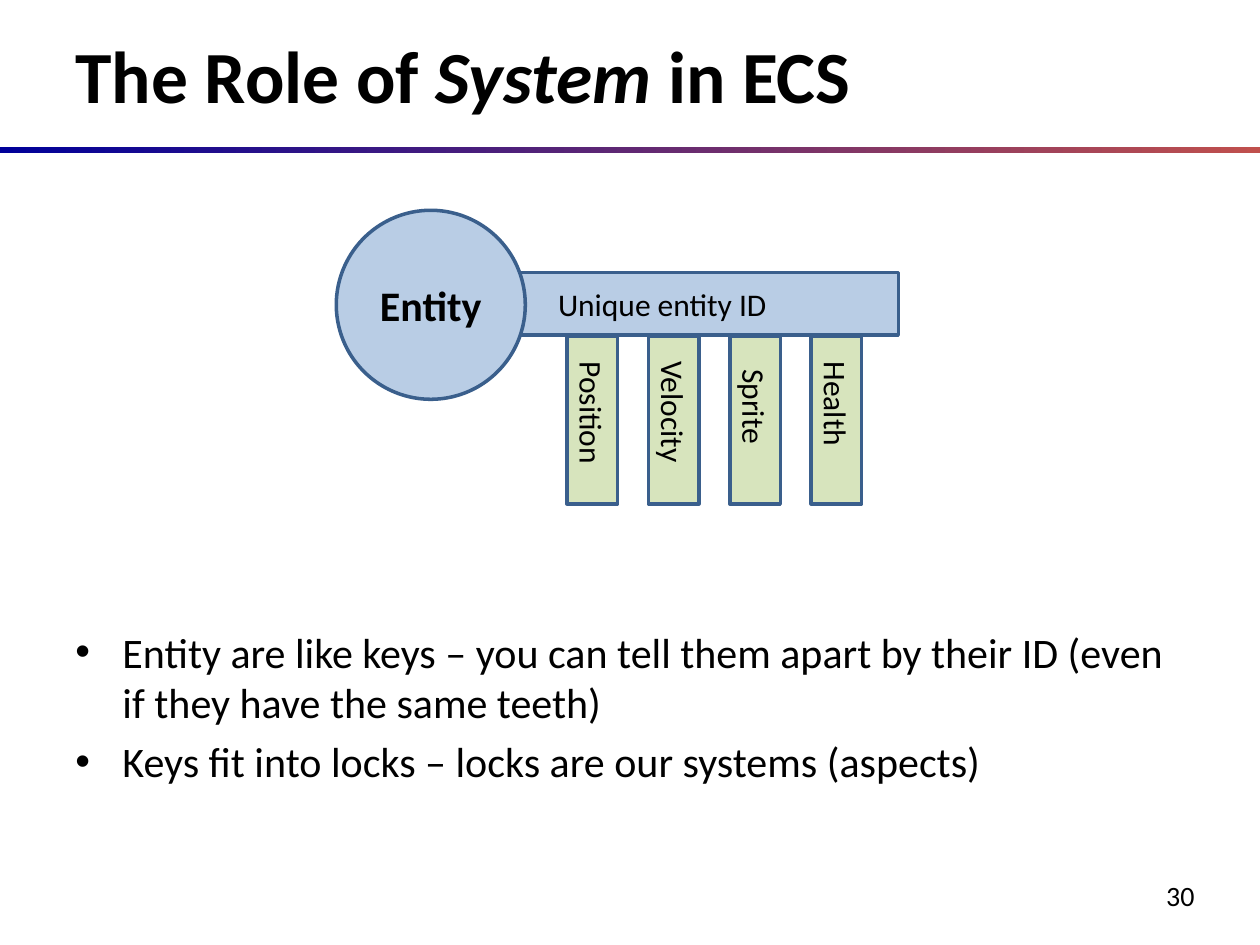
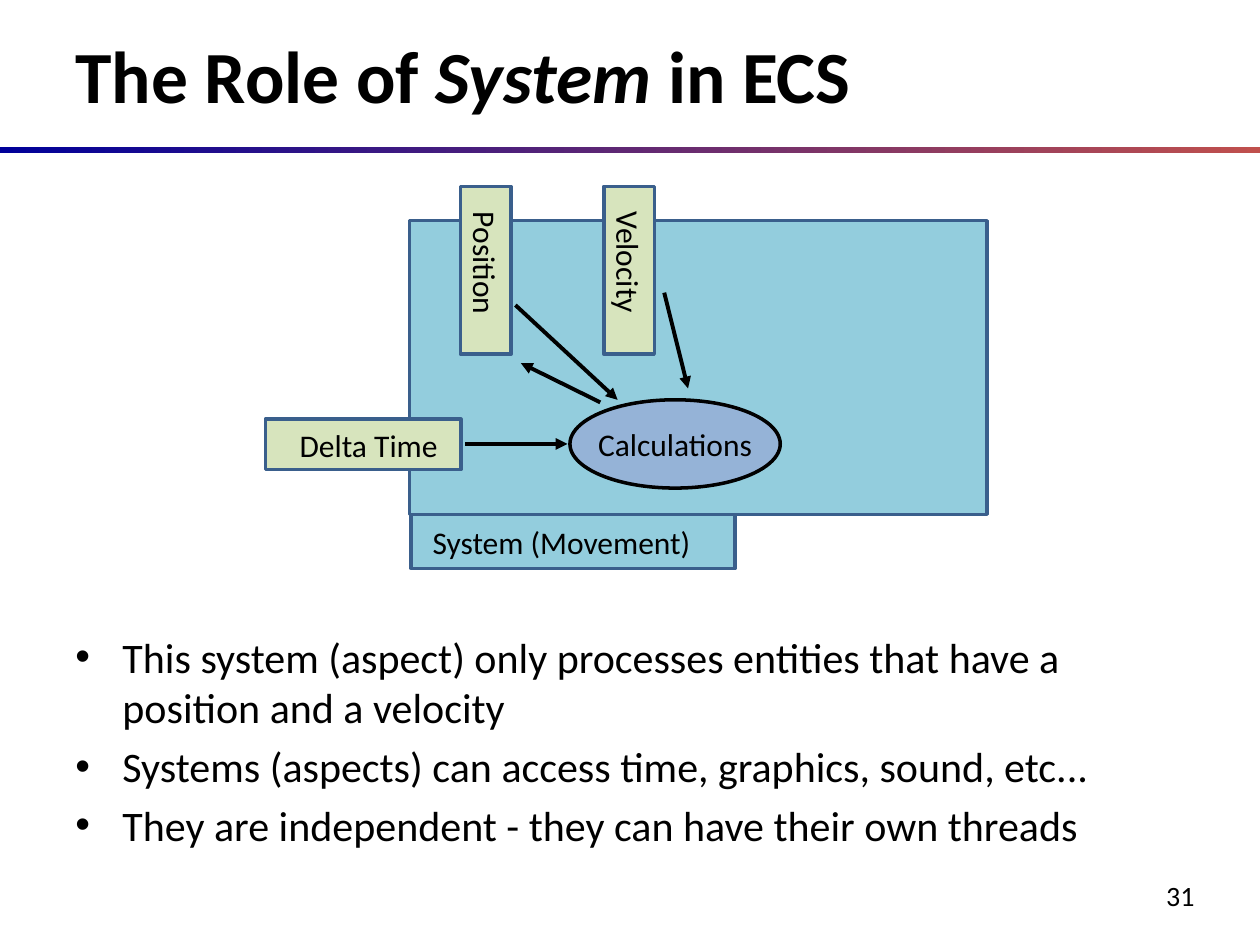
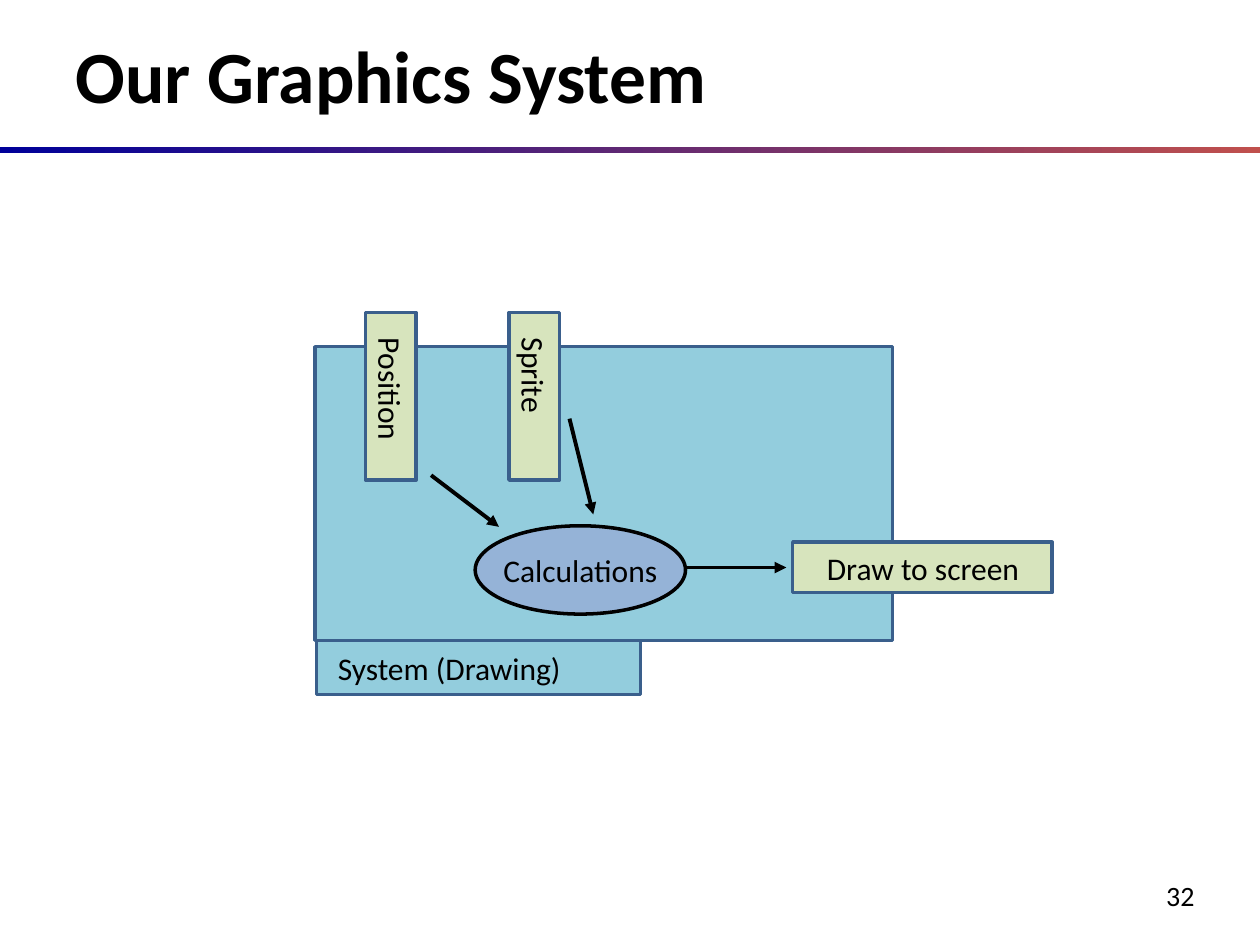
from lxml.etree import SubElement
from pptx import Presentation
from pptx.dml.color import RGBColor
from pptx.enum.shapes import MSO_CONNECTOR, MSO_SHAPE
from pptx.enum.text import MSO_ANCHOR, PP_ALIGN
from pptx.oxml.ns import qn
from pptx.util import Cm, Pt

FONT = "Calibri"
COLORS = {
    "text": "000000",
    "outline": "3A5F8C",
    "entity": "B9CDE5",
    "component": "D7E4BD",
    "system": "93CDDD",
    "calculation": "95B3D7",
    "band_start": "000099",
    "band_end": "C0504D",
}
RGB = {name: RGBColor.from_string(value) for name, value in COLORS.items()}
SLOT_WIDTH, SLOT_HEIGHT = 1.02, 3.38


def add_text(page, text, left, top, width, height, shape=None, fill=None,
             line="outline", size=18, bold=False, align=PP_ALIGN.LEFT,
             anchor=MSO_ANCHOR.MIDDLE, inset=0.25, wrap=False, turned=False,
             bullets=False):
    """Add a text box, or a filled shape with text; lengths are in cm.

    A turned box reads downwards and still covers the given bounds.
    """
    if turned:
        left, top = left + (width - height) / 2, top + (height - width) / 2
        width, height = height, width
    bounds = Cm(left), Cm(top), Cm(width), Cm(height)
    if shape is None:
        box = page.shapes.add_textbox(*bounds)
    else:
        box = page.shapes.add_shape(shape, *bounds)
        box.shadow.inherit = False
        box.fill.solid()
        box.fill.fore_color.rgb = RGB[fill]
        box.line.color.rgb = RGB[line]
        box.line.width = Pt(2)
    box.rotation = 90 if turned else 0

    frame = box.text_frame
    frame.word_wrap = wrap
    frame.vertical_anchor = anchor
    frame.margin_left = Cm(inset)
    for index, content in enumerate(text.split("\n")):
        para = frame.add_paragraph() if index else frame.paragraphs[0]
        para.alignment = align
        if bullets:
            para.space_before = Pt(size * 0.2)
            props = para._p.get_or_add_pPr()
            props.set("marL", str(Cm(0.95)))
            props.set("indent", str(-Cm(0.95)))
            SubElement(props, qn("a:buFont"), typeface="Arial")
            SubElement(props, qn("a:buChar"), char="•")
        span = para.add_run()
        span.text = content
        span.font.name = FONT
        span.font.size = Pt(size)
        span.font.bold = bold
        span.font.color.rgb = RGB["text"]
    return box


def add_arrow(page, x1, y1, x2, y2):
    arrow = page.shapes.add_connector(
        MSO_CONNECTOR.STRAIGHT, Cm(x1), Cm(y1), Cm(x2), Cm(y2))
    arrow.line.color.rgb = RGB["text"]
    arrow.line.width = Pt(2.25)
    SubElement(arrow.line._get_or_add_ln(), qn("a:tailEnd"), type="triangle")
    SubElement(arrow.element.spPr, qn("a:effectLst"))


deck = Presentation()
deck.slide_width, deck.slide_height = Cm(25.4), Cm(19.05)
layout = deck.slide_layouts[5]

# Titles, page numbers and bullet lists
role_title = [("The Role of ", False), ("System", True), (" in ECS", False)]
titles = [role_title, role_title, [("Our Graphics System", False)]]
bullet_lists = [
    (12.5, "Entity are like keys – you can tell them apart by their ID "
           "(even if they have the same teeth)\n"
           "Keys fit into locks – locks are our systems (aspects)"),
    (12.6, "This system (aspect) only processes entities that have a "
           "position and a velocity\n"
           "Systems (aspects) can access time, graphics, sound, etc...\n"
           "They are independent - they can have their own threads"),
    None,
]
pages = []
for number, (title_spans, bullet_list) in enumerate(zip(titles, bullet_lists), 30):
    page = deck.slides.add_slide(layout)
    title = page.shapes.title
    title.left, title.top, title.width, title.height = (
        Cm(1.27), Cm(0.43), Cm(23.06), Cm(2.11))
    title.text_frame.vertical_anchor = MSO_ANCHOR.MIDDLE
    para = title.text_frame.paragraphs[0]
    para.alignment = PP_ALIGN.LEFT
    for content, italic in title_spans:
        span = para.add_run()
        span.text = content
        span.font.name = FONT
        span.font.size = Pt(42)
        span.font.bold = True
        span.font.italic = italic
        span.font.color.rgb = RGB["text"]
    add_text(page, str(number), 21.79, 17.58, 2.54, 0.94, size=16,
             align=PP_ALIGN.RIGHT, wrap=True)
    if bullet_list:
        top, bullet_text = bullet_list
        add_text(page, bullet_text, 1.27, top, 22.86, 4.8, size=24,
                 anchor=MSO_ANCHOR.TOP, wrap=True, bullets=True)
    pages.append(page)

# The gradient band belongs to the shared layout
band = pages[0].shapes.add_shape(
    MSO_SHAPE.RECTANGLE, 0, Cm(2.96), deck.slide_width, Cm(0.13))
band.shadow.inherit = False
band.line.fill.background()
band.fill.gradient()
band.fill.gradient_angle = 0
for stop, position, name in zip(
        band.fill.gradient_stops, (0, 1), ("band_start", "band_end")):
    stop.position = position
    stop.color.rgb = RGB[name]
layout.shapes.element.append(band.element)

# Slide 30: the entity as a key with components for teeth
key_page = pages[0]
add_text(key_page, "Unique entity ID", 10.16, 5.49, 7.95, 1.27,
         shape=MSO_SHAPE.RECTANGLE, fill="entity", inset=1.09)
add_text(key_page, "Entity", 6.78, 4.24, 3.81, 3.81, shape=MSO_SHAPE.OVAL,
         fill="entity", size=24, bold=True, align=PP_ALIGN.CENTER)
teeth = [("Position", 0.51), ("Velocity", 0.51), ("Sprite", 0.66), ("Health", 0.51)]
for index, (component, inset) in enumerate(teeth):
    add_text(key_page, component, 11.43 + 1.64 * index, 6.78, SLOT_WIDTH,
             SLOT_HEIGHT, shape=MSO_SHAPE.RECTANGLE, fill="component",
             inset=inset, turned=True)

# Slides 31 and 32: a system as a lock; positions are relative to its panel
systems = [
    dict(origin=(8.26, 4.45), name="System (Movement)",
         slots=["Position", "Velocity"], resource=("Delta Time", -2.91, 4.0, 3.94),
         arrows=[(1.12, 4.5, 3.18, 4.5), (2.13, 1.7, 4.19, 3.61),
                 (3.84, 3.66, 2.24, 2.87)]),
    dict(origin=(6.35, 6.99), name="System (Drawing)",
         slots=["Position", "Sprite"], resource=("Draw to screen", 9.63, 3.94, 5.23),
         arrows=[(7.44, 4.45, 9.5, 4.45), (2.34, 2.59, 3.71, 3.63)]),
]
slot_arrow = (5.13, 1.45, 5.61, 3.38)
for page, system in zip(pages[1:], systems):
    x, y = system["origin"]
    add_text(page, "", x, y, 11.64, 5.92, shape=MSO_SHAPE.RECTANGLE, fill="system")
    for index, component in enumerate(system["slots"]):
        add_text(page, component, x + 1.02 + 2.89 * index, y - 0.69, SLOT_WIDTH,
                 SLOT_HEIGHT, shape=MSO_SHAPE.RECTANGLE, fill="component",
                 inset=0.51, turned=True)
    add_text(page, system["name"], x + 0.03, y + 5.92, 6.53, 1.09,
             shape=MSO_SHAPE.RECTANGLE, fill="system", inset=0.43)
    resource, left, top, width = system["resource"]
    add_text(page, resource, x + left, y + top, width, SLOT_WIDTH,
             shape=MSO_SHAPE.RECTANGLE, fill="component", inset=0.69)
    add_text(page, "Calculations", x + 3.23, y + 3.61, 4.24, 1.78,
             shape=MSO_SHAPE.OVAL, fill="calculation", line="text",
             align=PP_ALIGN.CENTER)
    for x1, y1, x2, y2 in system["arrows"] + [slot_arrow]:
        add_arrow(page, x + x1, y + y1, x + x2, y + y2)

deck.save("out.pptx")
